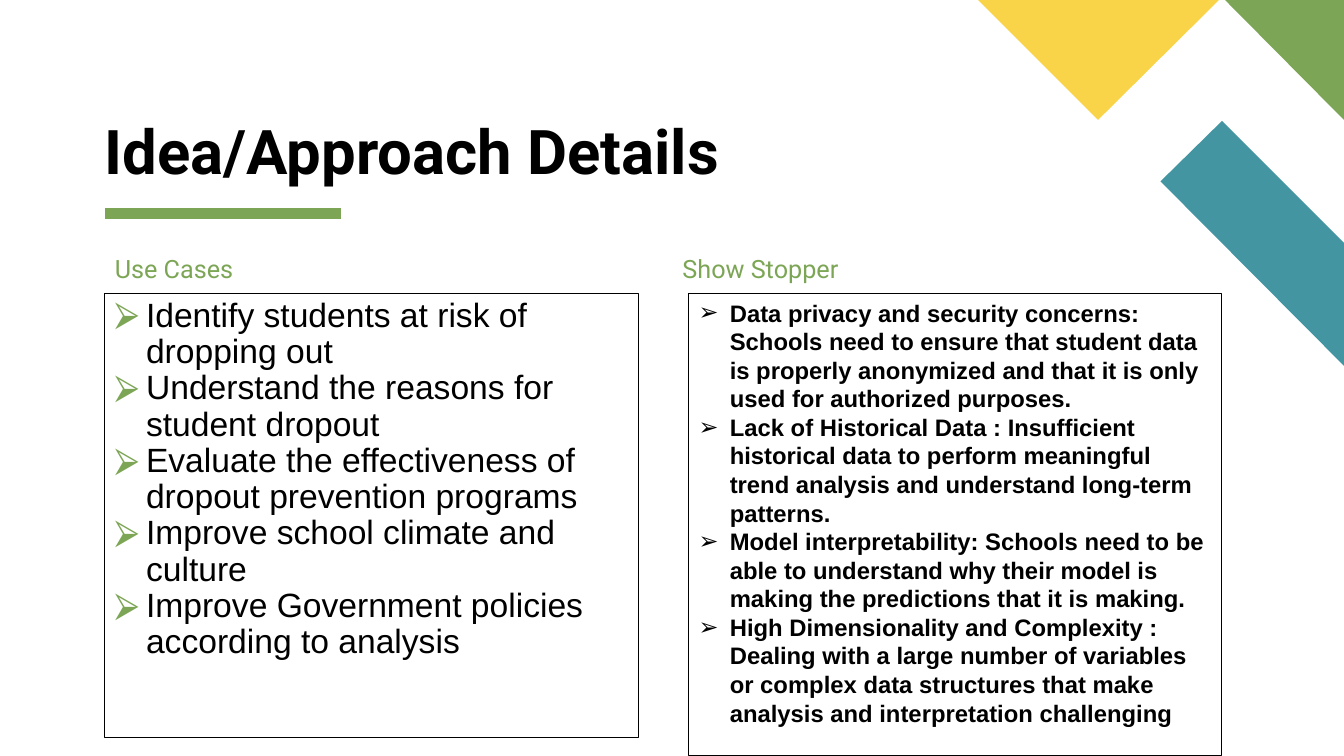
from lxml import etree
from pptx import Presentation
from pptx.dml.color import RGBColor
from pptx.enum import shapes, text
from pptx.oxml import ns
from pptx.util import Inches, Pt

GREEN = RGBColor(0x7C, 0xA6, 0x55)
TEAL = RGBColor(0x44, 0x95, 0xA2)
YELLOW = RGBColor(0xF9, 0xD4, 0x48)
BLACK = RGBColor(0, 0, 0)

# Content
TITLE = "Idea/Approach Details"
USE_CASES = [
    "Identify students at risk of dropping out",
    "Understand the reasons for student dropout",
    "Evaluate the effectiveness of dropout prevention programs",
    "Improve school climate and culture",
    "Improve Government policies according to analysis",
]
SHOW_STOPPERS = [
    "Data privacy and security concerns: Schools need to ensure that student data "
    "is properly anonymized and that it is only used for authorized purposes.",
    "Lack of Historical Data : Insufficient historical data to perform meaningful "
    "trend analysis and understand long-term patterns.",
    "Model interpretability: Schools need to be able to understand why their model "
    "is making the predictions that it is making.",
    "High Dimensionality and Complexity : Dealing with a large number of variables "
    "or complex data structures that make analysis and interpretation challenging",
]
COLUMNS = [
    dict(heading="Use Cases", heading_left=1.04, left=1.04, height=4.41,
         items=USE_CASES, size=24, bold=False, spacing=0.9,
         bullet="⮚", bullet_color=GREEN),
    dict(heading="Show Stopper", heading_left=6.67, left=6.83, height=4.59,
         items=SHOW_STOPPERS, size=17, bold=True, spacing=1.0,
         bullet="➢", bullet_color=BLACK),
]
CORNER_SHAPES = [
    (TEAL, [(13.33, 3.63), (13.33, 2.41), (12.12, 1.2), (11.51, 1.8)]),
    (GREEN, [(13.33, 1.19), (13.33, 0), (12.15, 0)]),
    (YELLOW, [(9.7, 0), (10.89, 1.19), (12.09, 0)]),
]
HEADING_TOP, HEADING_WIDTH, HEADING_HEIGHT = 2.5, 5.29, 0.35
BOX_TOP, BOX_WIDTH = 2.91, 5.29
HANG = 0.31


def set_frame(frame, anchor, side=0.1, edge=0.05):
    frame.word_wrap = True
    frame.vertical_anchor = anchor
    frame.margin_left = frame.margin_right = Inches(side)
    frame.margin_top = frame.margin_bottom = Inches(edge)


def write(para, words, font, size, color, bold=False, spacing=0.9):
    para.alignment = text.PP_ALIGN.LEFT
    para.line_spacing = spacing
    span = para.add_run()
    span.text = words
    span.font.name = font
    span.font.size = Pt(size)
    span.font.bold = bold
    span.font.color.rgb = color


def add_bullet(para, mark, color):
    props = para._p.get_or_add_pPr()
    props.set("marL", str(Inches(HANG)))
    props.set("indent", str(-Inches(HANG)))
    tint = etree.SubElement(props, ns.qn("a:buClr"))
    etree.SubElement(tint, ns.qn("a:srgbClr")).set("val", str(color))
    etree.SubElement(props, ns.qn("a:buFont")).set("typeface", "Arial")
    etree.SubElement(props, ns.qn("a:buChar")).set("char", mark)


def add_label(page, place, words, size, color, bold=False,
              anchor=text.MSO_ANCHOR.TOP, side=0.1, edge=0.05):
    box = page.shapes.add_textbox(*map(Inches, place))
    set_frame(box.text_frame, anchor, side, edge)
    write(box.text_frame.paragraphs[0], words, "Roboto", size, color, bold)


def add_corner(page, color, points):
    builder = page.shapes.build_freeform(
        *(Inches(value) for value in points[0]), scale=1.0)
    builder.add_line_segments(
        [(Inches(x), Inches(y)) for x, y in points[1:]], close=True)
    corner = builder.convert_to_shape()
    corner.shadow.inherit = False
    corner.fill.solid()
    corner.fill.fore_color.rgb = color
    corner.line.fill.background()


def add_column(page, column):
    add_label(page, (column["heading_left"], HEADING_TOP, HEADING_WIDTH, HEADING_HEIGHT),
              column["heading"], 18, GREEN)
    box = page.shapes.add_shape(
        shapes.MSO_SHAPE.RECTANGLE, Inches(column["left"]), Inches(BOX_TOP),
        Inches(BOX_WIDTH), Inches(column["height"]))
    box.shadow.inherit = False
    box.fill.background()
    box.line.color.rgb = BLACK
    box.line.width = Pt(0.75)
    frame = box.text_frame
    set_frame(frame, text.MSO_ANCHOR.TOP)
    for index, item in enumerate(column["items"]):
        para = frame.add_paragraph() if index else frame.paragraphs[0]
        write(para, item, "Arial", column["size"], BLACK,
              column["bold"], column["spacing"])
        add_bullet(para, column["bullet"], column["bullet_color"])


def main():
    deck = Presentation()
    deck.slide_width, deck.slide_height = Inches(13.33), Inches(7.5)
    page = deck.slides.add_slide(deck.slide_layouts[6])

    # Title rule and corner decoration
    rule = page.shapes.add_connector(
        shapes.MSO_CONNECTOR.STRAIGHT,
        Inches(1.04), Inches(2.12), Inches(3.38), Inches(2.12))
    rule.line.color.rgb = GREEN
    rule.line.width = Pt(8)
    etree.SubElement(rule._element.spPr, ns.qn("a:effectLst"))
    for color, points in CORNER_SHAPES:
        add_corner(page, color, points)

    # Title and the two columns
    add_label(page, (1.04, 1.19, 6.32, 0.67), TITLE, 44, BLACK, bold=True,
              anchor=text.MSO_ANCHOR.BOTTOM, side=0, edge=0)
    for column in COLUMNS:
        add_column(page, column)

    deck.save("out.pptx")


if __name__ == "__main__":
    main()
